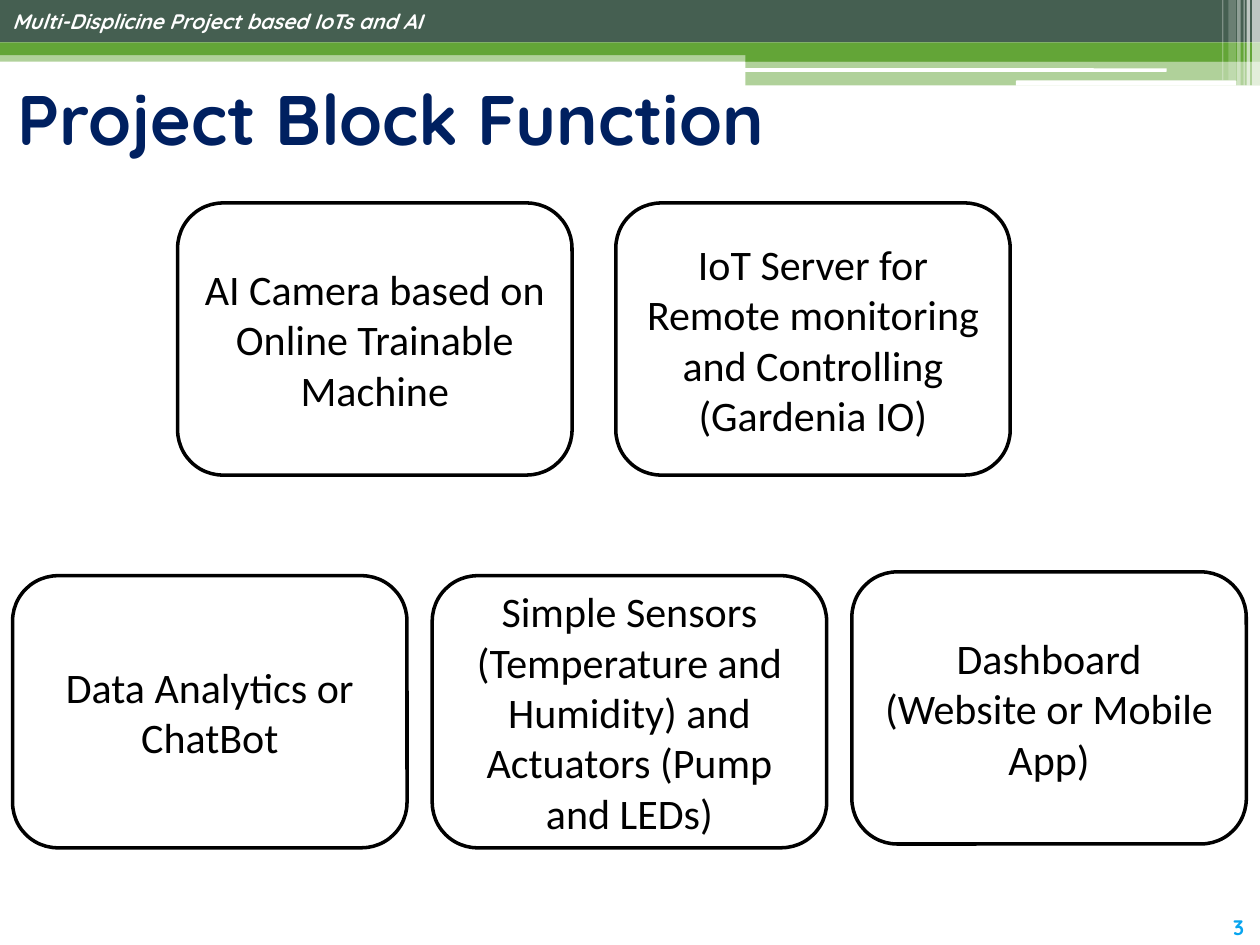
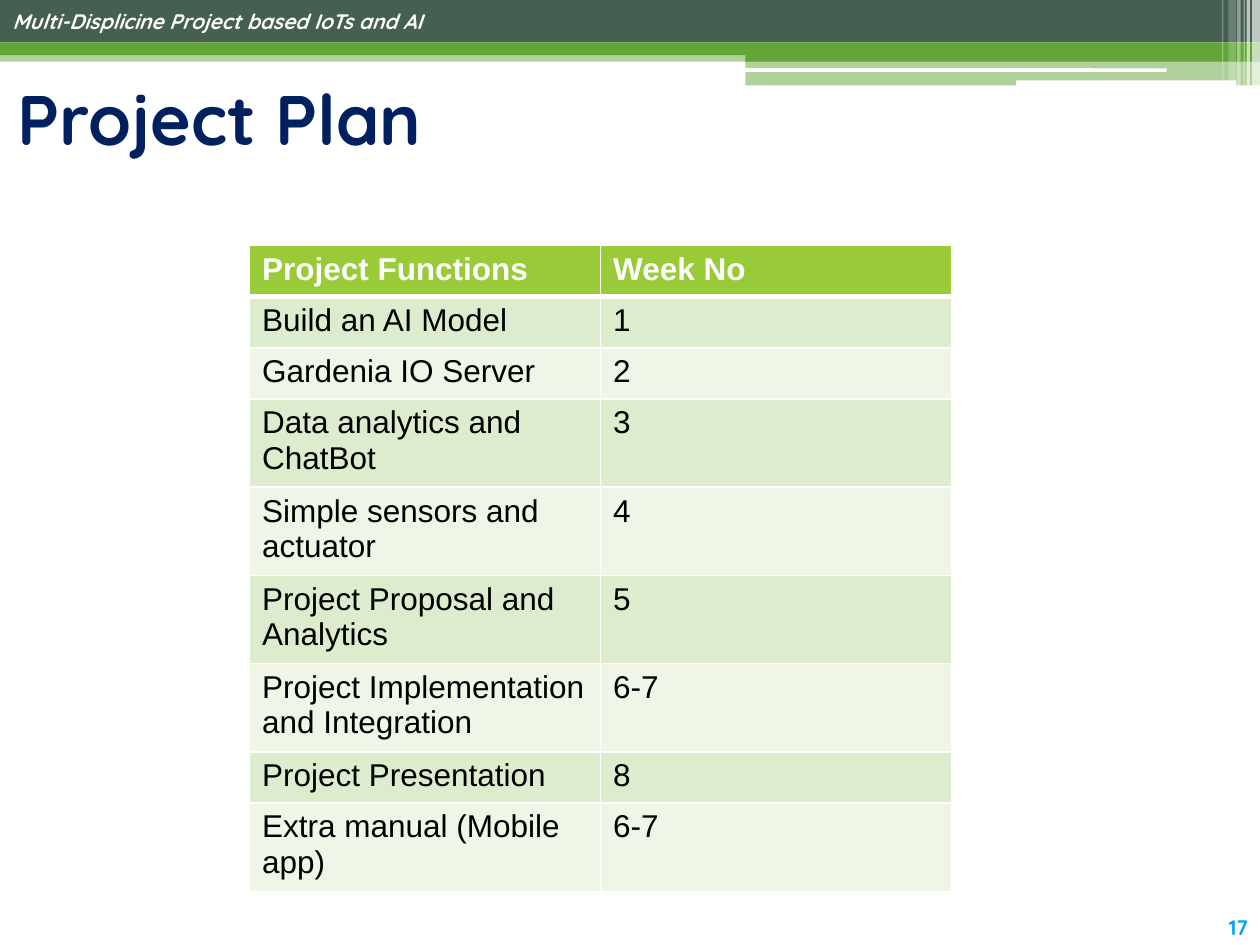
from lxml.etree import SubElement
from pptx import Presentation
from pptx.dml.color import RGBColor
from pptx.enum.shapes import MSO_SHAPE as Preset
from pptx.enum.text import MSO_ANCHOR as Anchor, PP_ALIGN as Align
from pptx.oxml.ns import qn
from pptx.util import Pt

WHITE = RGBColor(0xFF, 0xFF, 0xFF)
BLACK = RGBColor(0, 0, 0)
NAVY = RGBColor(0x00, 0x20, 0x60)
SKY = RGBColor(0x08, 0xA5, 0xEF)
PINE = RGBColor(0x45, 0x5F, 0x51)
GREEN = RGBColor(0x63, 0xA5, 0x37)
LIME = RGBColor(0x99, 0xCB, 0x38)
ROW_TINTS = (RGBColor(0xDD, 0xEC, 0xCC), RGBColor(0xEF, 0xF6, 0xE7))

HEADING_FONT = "Quicksand"
CARD_FONT = "Calibri"
TABLE_FONT = "Arial"
SLIDE_WIDTH, SLIDE_HEIGHT = 720, 540

BANDS = (
    ((0, 28.8, 720, 6.5), GREEN, 50),
    ((0, 0, 720, 24.3), PINE, 100),
    ((0, 24.3, 720, 7.2), GREEN, 100),
    ((426, 28, 294, 7.2), GREEN, 100),
    ((426, 34.8, 294, 14), GREEN, 50),
)
PILLS = ((425.5, 39, 241.2, 2), (580.5, 46, 126, 3))
STRIPES = (
    (715.5, 4.5, 49, 65), (712.3, 2, 49, 65), (710.6, 0.7, 49, 60),
    (707, 2, 49, 40), (702, 4.3, 46, 20), (698.4, 0.7, 46, 30),
)

CARD_SIZE = (225.4, 155.5)
TOP_CARDS = (
    "AI Camera based on Online Trainable Machine",
    "IoT Server for Remote monitoring and Controlling (Gardenia IO)",
)
BOTTOM_CARDS = (
    "Data Analytics or ChatBot",
    "Simple Sensors (Temperature and Humidity) and Actuators (Pump and LEDs)",
)
DASHBOARD = "Dashboard (Website or Mobile App)"

PLAN = (
    ("Project Functions", "Week No"),
    ("Build an AI Model", "1"),
    ("Gardenia IO Server", "2"),
    ("Data analytics and ChatBot", "3"),
    ("Simple sensors and actuator", "4"),
    ("Project Proposal and Analytics", "5"),
    ("Project Implementation and Integration", "6-7"),
    ("Project Presentation", "8"),
    ("Extra manual (Mobile app)", "6-7"),
)


def points(*lengths):
    """Convert plain numbers to lengths in points."""
    return [Pt(length) for length in lengths]


def write(text_frame, text, font_name, size, color, bold=False, italic=False, align=Align.LEFT):
    """Write one run into the first paragraph of a text frame."""
    text_frame.word_wrap = True
    paragraph = text_frame.paragraphs[0]
    paragraph.alignment = align
    run = paragraph.add_run()
    run.text = text
    font = run.font
    font.name, font.size, font.bold, font.italic = font_name, Pt(size), bold, italic
    font.color.rgb = color


def add_label(slide, box, text, size, color, anchor=Anchor.TOP, **style):
    """Add a bold heading-font text box."""
    text_frame = slide.shapes.add_textbox(*points(*box)).text_frame
    text_frame.vertical_anchor = anchor
    write(text_frame, text, HEADING_FONT, size, color, bold=True, **style)


def add_block(slide, box, color, opacity=100, preset=Preset.RECTANGLE):
    """Add a filled shape without outline or shadow."""
    shape = slide.shapes.add_shape(preset, *points(*box))
    shape.shadow.inherit = False
    shape.fill.solid()
    shape.fill.fore_color.rgb = color
    shape.line.fill.background()
    if opacity < 100:
        color_element = next(shape.element.spPr.iter(qn("a:srgbClr")))
        SubElement(color_element, qn("a:alpha"), val=str(opacity * 1000))
    return shape


def add_header(slide):
    """Draw the layered green header with its fading stripes."""
    for box, color, opacity in BANDS:
        add_block(slide, box, color, opacity)
    for box in PILLS:
        add_block(slide, box, WHITE, preset=Preset.ROUNDED_RECTANGLE)
    for left, width, height, opacity in STRIPES:
        add_block(slide, (left, 0, width, height), WHITE, opacity)
    add_label(slide, (0, 1.4, 255, 21.8), "Multi-Displicine Project based IoTs and AI",
              12, WHITE, italic=True)


def add_base_slide(presentation, title, number):
    """Add a blank slide with the shared header, title and page number."""
    slide = presentation.slides.add_slide(presentation.slide_layouts[6])
    add_header(slide)
    add_label(slide, (694, 519, 27.6, 21.8), number, 12, SKY, align=Align.CENTER)
    add_label(slide, (3, 37.4, 709, 59), title, 40, NAVY, anchor=Anchor.MIDDLE)
    return slide


def add_card_row(slide, left, top, gap, captions):
    """Place equally spaced outlined cards from a top-left corner."""
    width, height = CARD_SIZE
    for index, caption in enumerate(captions):
        box = (left + index * (width + gap), top, width, height)
        card = add_block(slide, box, WHITE, preset=Preset.ROUNDED_RECTANGLE)
        card.line.color.rgb = BLACK
        card.line.width = Pt(2)
        card.text_frame.vertical_anchor = Anchor.MIDDLE
        write(card.text_frame, caption, CARD_FONT, 24, BLACK, align=Align.CENTER)


def add_border(cell, side, width):
    """Draw one white cell border."""
    line = SubElement(cell._tc.get_or_add_tcPr(), qn(f"a:ln{side}"), w=str(Pt(width)))
    fill = SubElement(line, qn("a:solidFill"))
    SubElement(fill, qn("a:srgbClr"), val=str(WHITE))


def add_plan_table(slide, left, top, column_width, row_height, rows):
    """Add the two-column plan with a header and banded rows."""
    columns = len(rows[0])
    box = points(left, top, columns * column_width, len(rows) * row_height)
    table = slide.shapes.add_table(len(rows), columns, *box).table
    for row_index, texts in enumerate(rows):
        is_header = row_index == 0
        fill = LIME if is_header else ROW_TINTS[(row_index - 1) % 2]
        top_width = 3 if row_index == 1 else 1
        bottom_width = 3 if is_header else 1
        for column_index, text in enumerate(texts):
            cell = table.cell(row_index, column_index)
            for side, width in zip("LRTB", (1, 1, top_width, bottom_width)):
                add_border(cell, side, width)
            cell.fill.solid()
            cell.fill.fore_color.rgb = fill
            write(cell.text_frame, text, TABLE_FONT, 18,
                  WHITE if is_header else BLACK, bold=is_header)


def main():
    """Build both slides and save the presentation."""
    presentation = Presentation()
    presentation.slide_width, presentation.slide_height = points(SLIDE_WIDTH, SLIDE_HEIGHT)

    blocks = add_base_slide(presentation, "Project Block Function", "3")
    add_card_row(blocks, 101.5, 116, 25, TOP_CARDS)
    add_card_row(blocks, 7.2, 329, 14.4, BOTTOM_CARDS)
    add_card_row(blocks, 486.8, 326.8, 0, (DASHBOARD,))

    plan = add_base_slide(presentation, "Project Plan", "17")
    add_plan_table(plan, 142.6, 140.4, 200.6, 29.2, PLAN)

    presentation.save("out.pptx")


if __name__ == "__main__":
    main()
